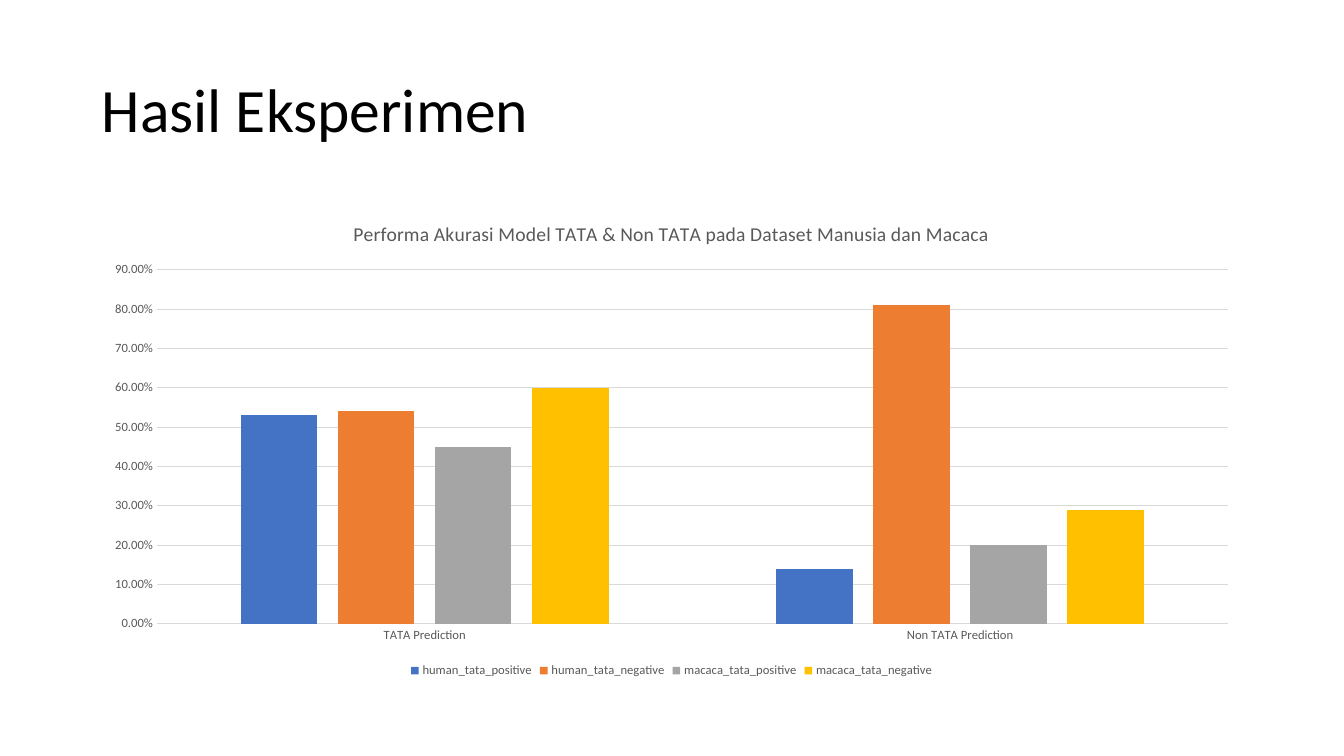
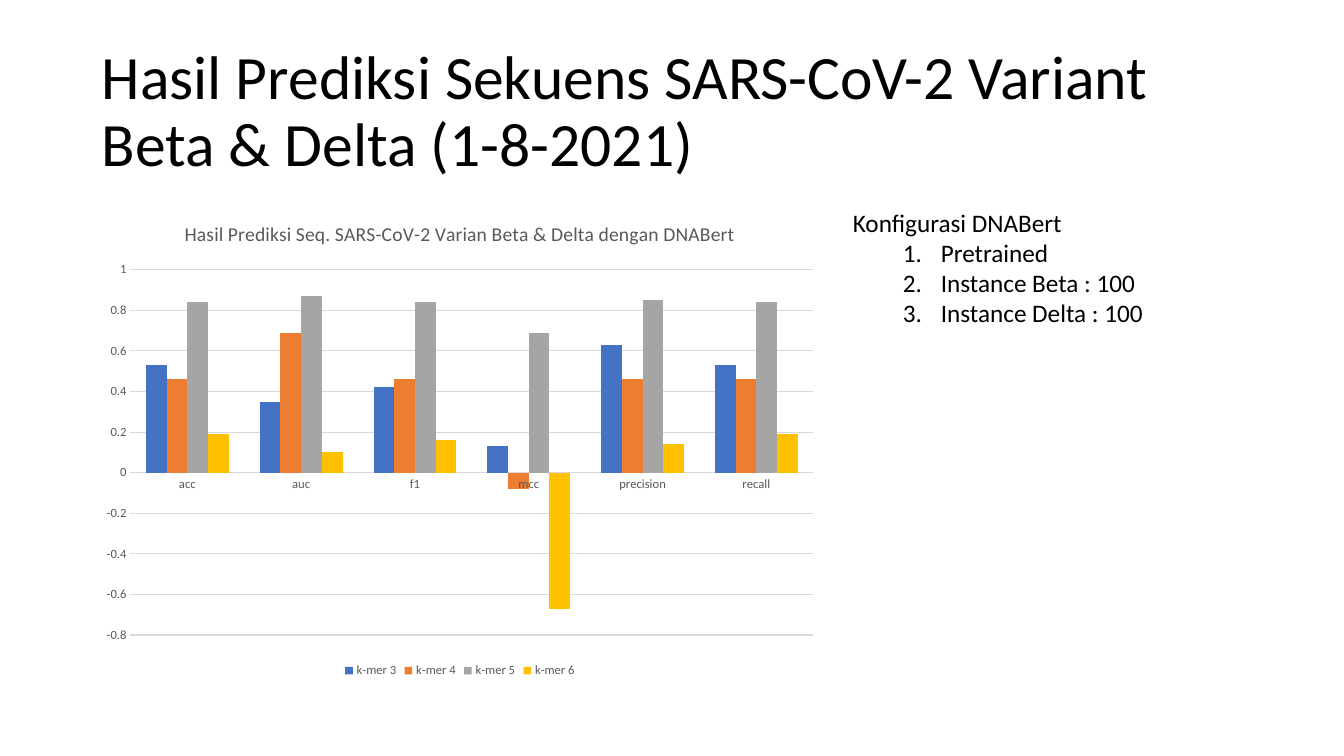
from lxml import etree
from pptx import Presentation
from pptx import util as u
from pptx.chart.data import CategoryChartData
from pptx.dml.color import RGBColor
from pptx.enum import chart as ec, text as et
from pptx.oxml.ns import qn

FONT = "Calibri"
INK, GRAY, GRID = "000000", "595959", "D9D9D9"
HUES = ["4472C4", "ED7D31", "A5A5A5", "FFC000"]
LEFT, TOP, HIGH, FULL = 92, 202, 480, 1159


def px(n):
    """Turn picture pixels into EMU."""
    return u.Emu(round(n * 914400 / 100.8))


def color(code):
    """Turn a hex string into a colour."""
    return RGBColor.from_string(code)


def style(font, size, code):
    """Set face, size and colour of a font."""
    font.name, font.size, font.bold = FONT, u.Pt(size), False
    font.color.rgb = color(code)


def write(slide, box, lines, size, anchor):
    """Place a text box and return its frame."""
    frame = slide.shapes.add_textbox(*map(px, box)).text_frame
    frame.word_wrap = True
    frame.vertical_anchor = anchor
    frame.text = "\n".join(lines)
    for par in frame.paragraphs:
        for run in par.runs:
            style(run.font, size, INK)
    return frame


def head(slide, words):
    """Write the slide title."""
    frame = write(slide, (LEFT, 40, FULL, 146), [words], 44, et.MSO_ANCHOR.MIDDLE)
    frame.paragraphs[0].line_spacing = 0.9


def rule(line, code):
    """Draw a thin line in one colour."""
    line.color.rgb = color(code)
    line.width = u.Pt(0.75)


def bars(slide, box, title, cats, rows, low, high, step, form, gap, lap):
    """Place a clustered column chart and return it."""
    data = CategoryChartData(number_format=form)
    data.categories = cats
    for name, vals in rows.items():
        data.add_series(name, vals)
    kind = ec.XL_CHART_TYPE.COLUMN_CLUSTERED
    chart = slide.shapes.add_chart(kind, *map(px, box), data).chart
    style(chart.font, 10, INK)
    chart.has_title = True
    chart.chart_title.include_in_layout = False
    frame = chart.chart_title.text_frame
    frame.text = title
    style(frame.paragraphs[0].runs[0].font, 14, GRAY)
    chart.has_legend = True
    chart.legend.position = ec.XL_LEGEND_POSITION.BOTTOM
    chart.legend.include_in_layout = False
    style(chart.legend.font, 9, GRAY)
    plot = chart.plots[0]
    plot.vary_by_categories = False
    plot.gap_width, plot.overlap = gap, lap
    for row, hue in zip(plot.series, HUES):
        row.format.fill.solid()
        row.format.fill.fore_color.rgb = color(hue)
        row.invert_if_negative = False
    for axis in (chart.category_axis, chart.value_axis):
        axis.major_tick_mark = axis.minor_tick_mark = ec.XL_TICK_MARK.NONE
        style(axis.tick_labels.font, 9, GRAY)
        axis.format.line.fill.background()
    axis = chart.value_axis
    axis.minimum_scale, axis.maximum_scale, axis.major_unit = low, high, step
    axis.has_major_gridlines = True
    rule(axis.major_gridlines.format.line, GRID)
    axis.tick_labels.number_format = form
    axis.tick_labels.number_format_is_linked = False
    return chart


def notes(slide, box, lead, items):
    """Write a lead line with a numbered list below it."""
    frame = write(slide, box, [lead, *items], 18, et.MSO_ANCHOR.TOP)
    frame.auto_size = et.MSO_AUTO_SIZE.SHAPE_TO_FIT_TEXT
    for par in frame.paragraphs[1:]:
        par.level = 1
        props = par._p.get_or_add_pPr()
        props.set("marL", str(px(88)))
        props.set("indent", str(px(-38)))
        etree.SubElement(props, qn("a:buFont"), typeface="+mj-lt")
        etree.SubElement(props, qn("a:buAutoNum"), type="arabicPeriod")


def trial(slide):
    """Build the slide on model accuracy."""
    head(slide, "Hasil Eksperimen")
    rows = {
        "human_tata_positive": (0.53, 0.14),
        "human_tata_negative": (0.54, 0.81),
        "macaca_tata_positive": (0.45, 0.2),
        "macaca_tata_negative": (0.6, 0.29),
    }
    chart = bars(slide, (LEFT, TOP, FULL, HIGH),
                 "Performa Akurasi Model TATA & Non TATA pada Dataset Manusia dan Macaca",
                 ["TATA Prediction", "Non TATA Prediction"], rows,
                 0, 0.9, 0.1, "0.00%", 219, -27)
    rule(chart.category_axis.format.line, GRID)


def virus(slide):
    """Build the slide on the variant forecast."""
    head(slide, "Hasil Prediksi Sekuens SARS-CoV-2 Variant Beta & Delta (1-8-2021)")
    rows = {
        "k-mer 3": (0.53, 0.35, 0.42, 0.13, 0.63, 0.53),
        "k-mer 4": (0.46, 0.69, 0.46, -0.08, 0.46, 0.46),
        "k-mer 5": (0.84, 0.87, 0.84, 0.69, 0.85, 0.84),
        "k-mer 6": (0.19, 0.1, 0.16, -0.67, 0.14, 0.19),
    }
    bars(slide, (LEFT, TOP, 736, HIGH),
         "Hasil Prediksi Seq. SARS-CoV-2 Varian Beta & Delta dengan DNABert",
         ["acc", "auc", "f1", "mcc", "precision", "recall"], rows,
         -0.8, 1, 0.2, "General", 150, 0)
    notes(slide, (843, TOP, 409, 132), "Konfigurasi DNABert",
          ["Pretrained", "Instance Beta : 100", "Instance Delta : 100"])


deck = Presentation()
deck.slide_width, deck.slide_height = px(1344), px(756)
for build in (trial, virus):
    build(deck.slides.add_slide(deck.slide_layouts[6]))
deck.save("out.pptx")
